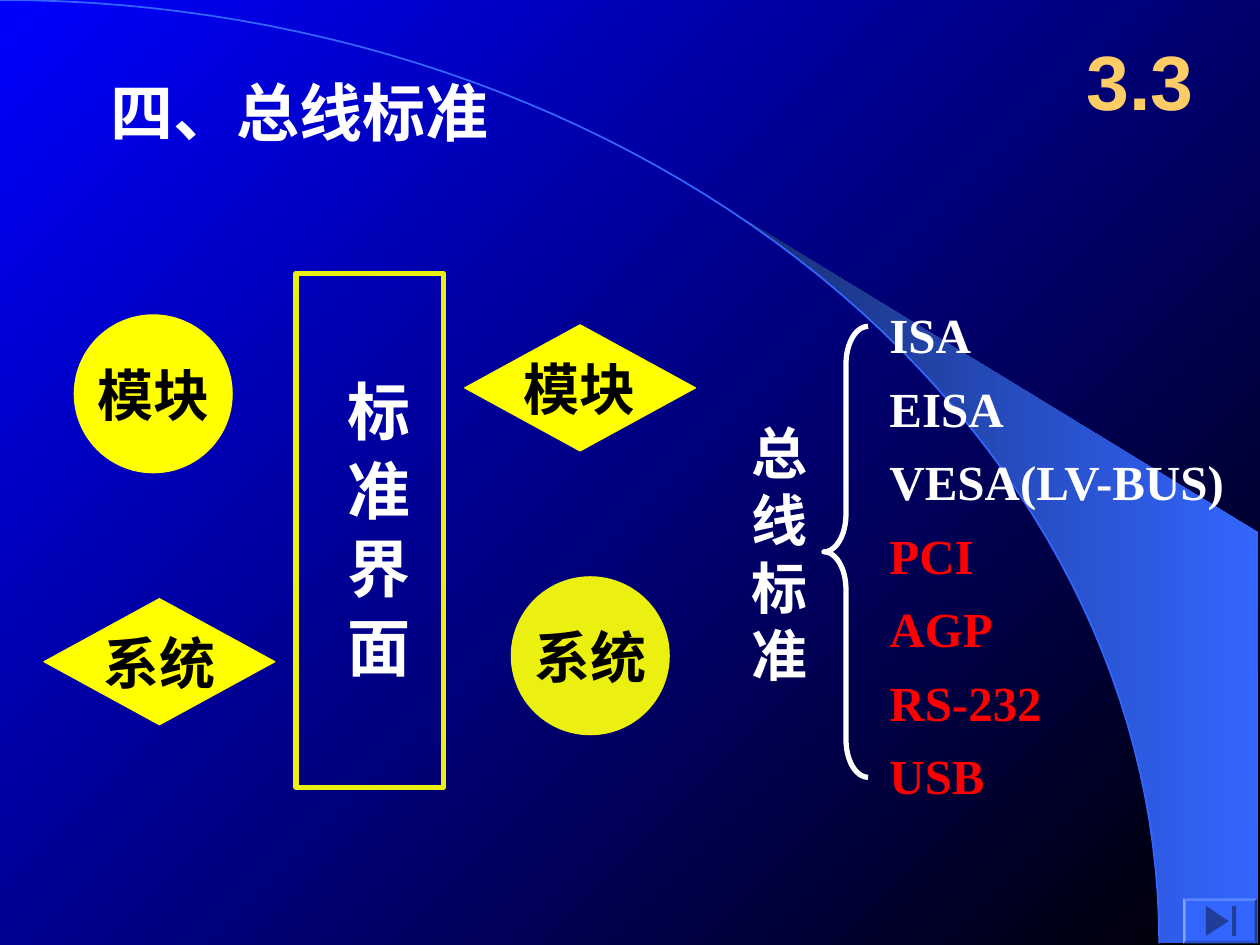
from dataclasses import dataclass
from math import asin, cos, pi, sin

from lxml.etree import SubElement
from pptx import Presentation
from pptx.dml.color import RGBColor as Rgb
from pptx.enum.shapes import MSO_SHAPE as Shape
from pptx.enum.text import MSO_ANCHOR as Anchor, MSO_AUTO_SIZE as AutoSize, PP_ALIGN as Align
from pptx.oxml.ns import qn
from pptx.util import Cm, Pt


@dataclass(frozen=True)
class Theme:
    """Colours, fonts and type sizes of the slide."""
    blue: str = "0000FF"
    black: str = "000000"
    white: str = "FFFFFF"
    yellow: str = "FFFF00"
    olive: str = "EBF010"
    red: str = "FF0000"
    gold: str = "FFCC66"
    sky: str = "3366FF"
    navy: str = "182F76"
    icon: str = "1F3D99"
    serif: str = "Times New Roman"
    sans: str = "Arial"
    list_size: int = 28
    label_size: int = 32
    heading_size: int = 36
    number_size: int = 44


def write(frame, text, *, size, color, font, highlight=None, highlighted=(), align=Align.LEFT,
          anchor=Anchor.TOP, wrap=True, line_spacing=1.0, insets=(0.25, 0.13)):
    """Fill a text frame with one paragraph per line of text."""
    frame.auto_size = AutoSize.NONE
    frame.word_wrap = wrap
    frame.vertical_anchor = anchor
    frame.margin_left = frame.margin_right = Cm(insets[0])
    frame.margin_top = frame.margin_bottom = Cm(insets[1])
    for index, line in enumerate(text.split("\n")):
        paragraph = frame.add_paragraph() if index else frame.paragraphs[0]
        paragraph.alignment = align
        paragraph.line_spacing = line_spacing
        paragraph.space_before = Pt(0)
        properties = paragraph._p.get_or_add_pPr()
        properties.set("marL", "0")
        properties.set("indent", "0")
        SubElement(properties, qn("a:buNone"))
        run = paragraph.add_run()
        run.text = line
        run.font.name = font
        run.font.size = Pt(size)
        run.font.bold = True
        run.font.color.rgb = Rgb.from_string(highlight if line in highlighted else color)


def arc_points(width, height, start=0.0, steps=60):
    """Return points on a quarter ellipse, from the angle start to its right end."""
    angles = [start + (pi / 2 - start) * step / steps for step in range(steps + 1)]
    return [(width * sin(angle), height * (1 - cos(angle))) for angle in angles]


class SlideBuilder:
    """Hold the theme and the current slide, and add elements to it."""

    def __init__(self, slide, theme):
        self.slide = slide
        self.theme = theme

    def gradient(self, fill, first, last, angle):
        """Apply a two-colour linear gradient."""
        fill.gradient()
        fill.gradient_angle = angle
        for stop, color in zip(fill.gradient_stops, (first, last)):
            stop.color.rgb = Rgb.from_string(color)

    def paint(self, shape, fill=None, line=None, width=0.75):
        """Set flat fill and line of a shape."""
        shape.shadow.inherit = False
        if fill:
            shape.fill.solid()
            shape.fill.fore_color.rgb = Rgb.from_string(fill)
        else:
            shape.fill.background()
        if line:
            shape.line.color.rgb = Rgb.from_string(line)
            shape.line.width = Pt(width)
        else:
            shape.line.fill.background()
        return shape

    def shape(self, kind, box, **look):
        """Add a preset shape."""
        return self.paint(self.slide.shapes.add_shape(kind, *map(Cm, box)), **look)

    def outline(self, points, close=True, **look):
        """Add a freeform through the given points."""
        corners = [(Cm(x), Cm(y)) for x, y in points]
        builder = self.slide.shapes.build_freeform(*corners[0])
        builder.add_line_segments(corners[1:], close=close)
        return self.paint(builder.convert_to_shape(), **look)

    def node(self, kind, box, label, color):
        """Add a filled shape with a centred label."""
        node = self.shape(kind, box, fill=color, line=color)
        write(node.text_frame, label, size=self.theme.label_size, color=self.theme.black,
              font=self.theme.serif, align=Align.CENTER, anchor=Anchor.MIDDLE,
              wrap=False, insets=(0, 0))

    def text(self, box, text, **style):
        """Add a text box."""
        caption = self.slide.shapes.add_textbox(*map(Cm, box))
        write(caption.text_frame, text, **style)
        return caption

    def placeholder(self, holder, box, text, **style):
        """Move a placeholder and fill it."""
        holder.left, holder.top, holder.width, holder.height = map(Cm, box)
        write(holder.text_frame, text, **style)

    def backdrop(self):
        """Add the background, the swoosh and the arc behind the placeholders."""
        theme = self.theme
        self.gradient(self.slide.background.fill, theme.blue, theme.black, 315)
        radii = (23.37, 19.02)
        tip = (14.96, 4.39)
        edge = arc_points(*radii, start=asin(tip[0] / radii[0]))
        swoosh = self.outline([tip, (25.37, 10.74), (25.37, 19.02), *reversed(edge)])
        self.gradient(swoosh.fill, theme.navy, theme.sky, 0)
        arc = self.outline(arc_points(*radii), close=False, line=theme.sky, width=1)
        for decoration in (swoosh, arc):
            self.slide.shapes.title.element.addprevious(decoration.element)

    def end_button(self):
        """Add the bevelled button with its triangle and bar."""
        bevel = self.shape(Shape.BEVEL, (23.85, 18.11, 1.5, 0.91), fill=self.theme.sky)
        bevel.adjustments[0] = 0.06
        self.outline([(24.31, 18.26), (24.77, 18.57), (24.31, 18.87)], fill=self.theme.icon)
        self.shape(Shape.RECTANGLE, (24.84, 18.26, 0.08, 0.61), fill=self.theme.icon)


def main():
    """Build the bus standards slide."""
    deck = Presentation()
    deck.slide_width, deck.slide_height = Cm(25.4), Cm(19.05)
    theme = Theme()
    page = SlideBuilder(deck.slides.add_slide(deck.slide_layouts[1]), theme)
    page.backdrop()

    heading = dict(size=theme.heading_size, color=theme.white, font=theme.serif)
    page.placeholder(page.slide.shapes.title, (1.97, 1.35, 13.7, 1.78), "四、总线标准", **heading)
    page.placeholder(page.slide.placeholders[1], (17.68, 5.72, 8.86, 10.64),
                     "ISA\nEISA\nVESA(LV-BUS)\nPCI\nAGP\nRS-232\nUSB",
                     size=theme.list_size, color=theme.white, font=theme.serif,
                     highlight=theme.red, highlighted=("PCI", "AGP", "RS-232", "USB"),
                     line_spacing=1.25)
    page.text((21.39, 0.43, 3.18, 2.34), "3.3", size=theme.number_size, color=theme.gold,
              font=theme.sans, align=Align.CENTER, anchor=Anchor.MIDDLE)

    circle, diamond = (3.18, 3.18), (4.65, 2.54)
    page.node(Shape.OVAL, (1.5, 6.35, *circle), "模块", theme.yellow)
    page.node(Shape.OVAL, (10.31, 11.63, *circle), "系统", theme.olive)
    page.node(Shape.DIAMOND, (0.89, 12.07, *diamond), "系统", theme.yellow)
    page.node(Shape.DIAMOND, (9.37, 6.55, *diamond), "模块", theme.yellow)

    page.shape(Shape.RECTANGLE, (5.97, 5.51, 2.97, 10.36), line=theme.olive, width=3)
    interface = page.text((6.45, 7.42, 2.03, 8.89), "标 准 界 面", align=Align.CENTER,
                          insets=(0.13, 0.25), **heading)
    interface.text_frame._txBody.bodyPr.set("vert", "eaVert")

    page.text((14.91, 8.31, 1.5, 5.69), "总\n线\n标\n准", size=theme.label_size,
              color=theme.white, font=theme.serif)
    brace = page.shape(Shape.LEFT_BRACE, (16.61, 6.58, 0.89, 9.09), line=theme.white, width=3)
    brace.adjustments[0] = 0.85
    page.end_button()
    deck.save("out.pptx")


if __name__ == "__main__":
    main()
